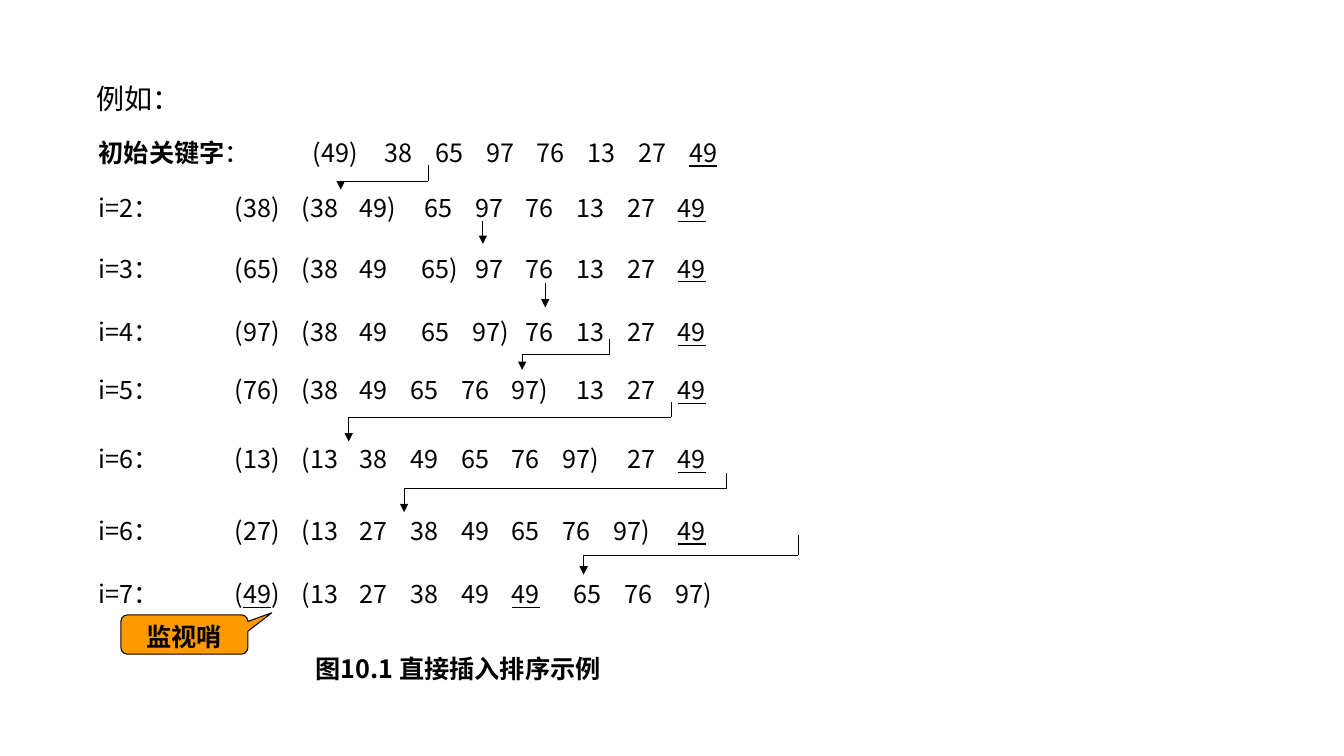
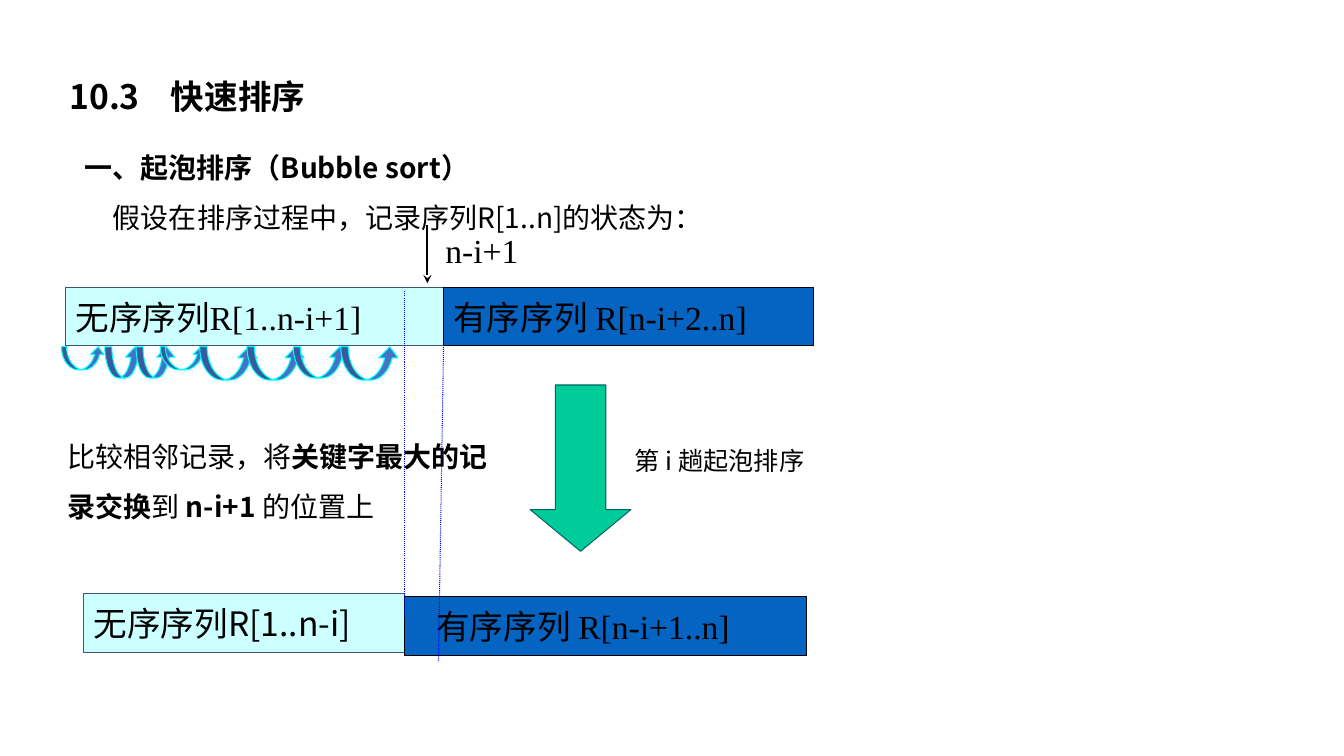
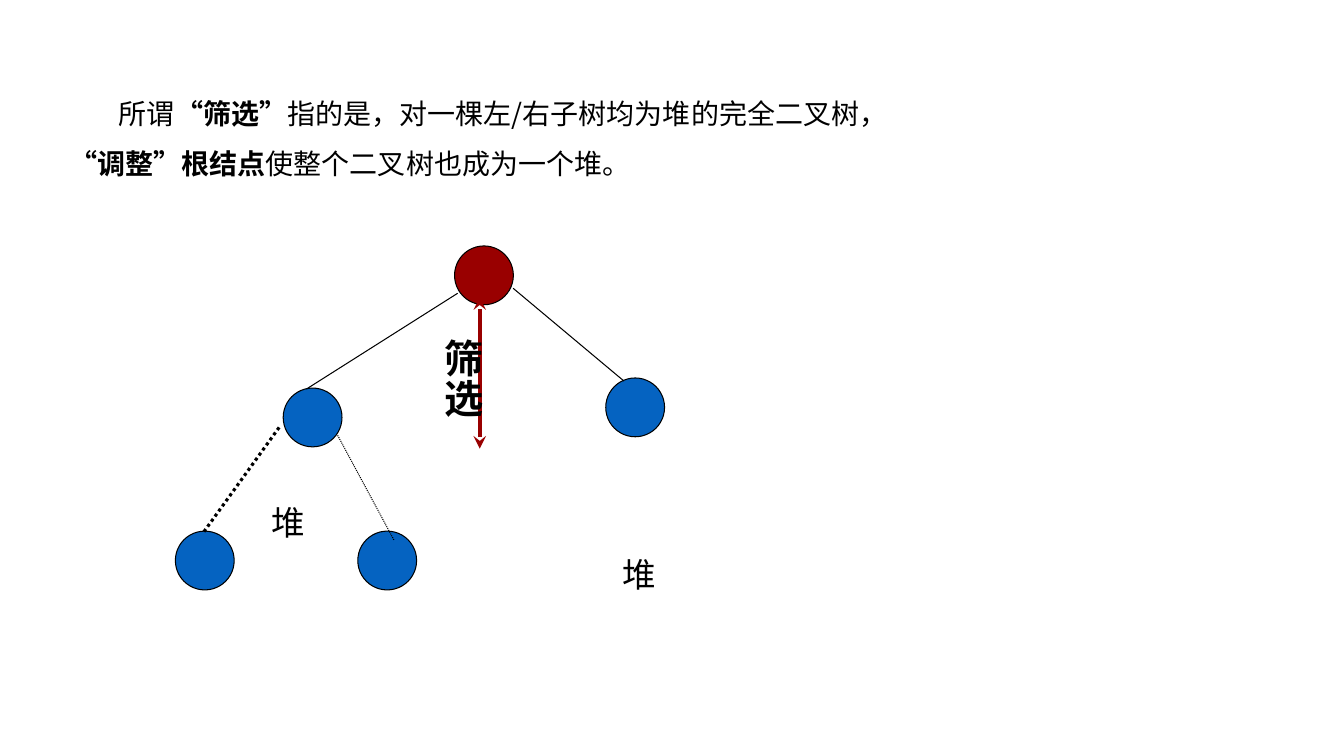
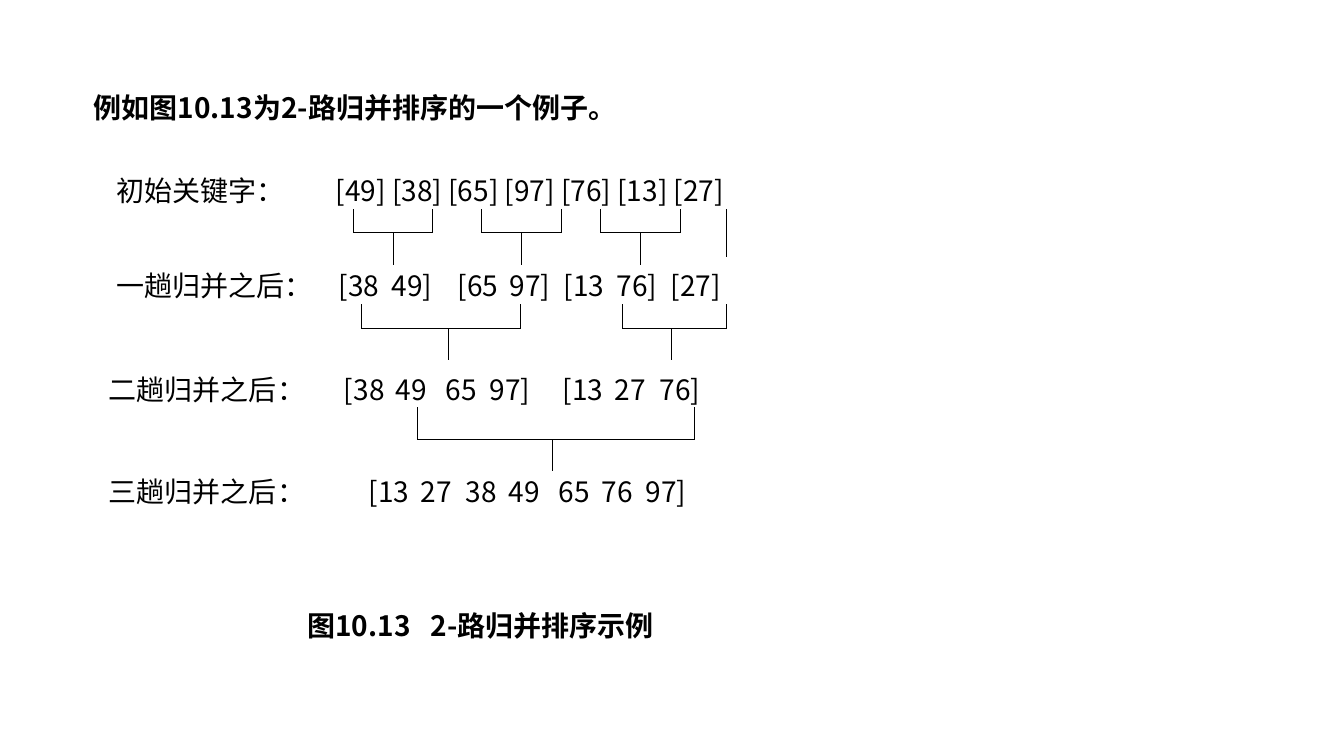
"""Builds four slides on sorting algorithms: insertion, bubble, heap and merge sort."""
import pptx
import pptx.util
import pptx.dml.color
import pptx.enum.dml
import pptx.enum.lang
import pptx.enum.shapes
import pptx.enum.text
import pptx.oxml
import pptx.oxml.ns

Pt = pptx.util.Pt
SHAPE = pptx.enum.shapes.MSO_SHAPE
ALIGN = pptx.enum.text.PP_ALIGN
ANCHOR = pptx.enum.text.MSO_ANCHOR
DOT = pptx.enum.dml.MSO_LINE.ROUND_DOT
qn = pptx.oxml.ns.qn

SANS, SERIF = "Noto Sans CJK SC", "Times New Roman"
BLACK, PALE, BLUE, RED = "000000", "CCFFFF", "0563C1", "990000"


def rgb(value):
    """Turn a hex string into a colour."""
    return pptx.dml.color.RGBColor.from_string(value)


def apply(target, values):
    """Set attributes from a dict."""
    for name, value in values.items():
        setattr(target, name, value)


def add_xml(parent, tag, **attributes):
    """Append a DrawingML element and return it."""
    child = pptx.oxml.parse_xml(f"<a:{tag} {pptx.oxml.ns.nsdecls('a')}/>")
    for name, value in attributes.items():
        child.set(name, str(value))
    parent.append(child)
    return child


class Deck:
    """Holds the style and the current slide."""

    def __init__(self):
        """Start a widescreen presentation."""
        self.prs = pptx.Presentation()
        apply(self.prs, {"slide_width": Pt(960), "slide_height": Pt(540)})

    def new_slide(self):
        """Add a blank slide and make it current."""
        self.s = self.prs.slides.add_slide(self.prs.slide_layouts[6])

    def paragraph(self, tf, text, size, font=SANS, bold=False, align=ALIGN.LEFT,
                  spacing=1.0, tabs=(), indent=0):
        """Fill the paragraph; * toggles bold and _ toggles underline."""
        p = tf.paragraphs[0]
        apply(p, {"alignment": align, "line_spacing": spacing})
        pPr = p._p.get_or_add_pPr()
        if indent:
            pPr.set("indent", str(Pt(indent)))
        if tabs:
            stops = add_xml(pPr, "tabLst")
            for stop in tabs:
                add_xml(stops, "tab", pos=Pt(stop), algn="l")
        for i, part in enumerate(text.split("*")):
            for j, piece in enumerate(part.split("_")):
                if not piece:
                    continue
                r = p.add_run()
                r.text = piece
                apply(r.font, {
                    "size": Pt(size), "name": font,
                    "bold": bold or i % 2 == 1, "underline": j % 2 == 1,
                    "language_id": pptx.enum.lang.MSO_LANGUAGE_ID.SIMPLIFIED_CHINESE})
                r.font.color.rgb = rgb(BLACK)
                add_xml(r._r.get_or_add_rPr(), "ea", typeface=SANS)

    def text(self, left, top, width, height, text, size, vertical=False, **style):
        """Add a text box."""
        sp = self.s.shapes.add_textbox(Pt(left), Pt(top), Pt(width), Pt(height))
        tf = sp.text_frame
        apply(tf, {"word_wrap": True,
                   "auto_size": pptx.enum.text.MSO_AUTO_SIZE.SHAPE_TO_FIT_TEXT})
        if vertical:
            tf._txBody.bodyPr.set("vert", "eaVert")
        self.paragraph(tf, text, size, **style)

    def shape(self, kind, left, top, width, height, fill, line=BLACK, adj=(),
              text="", size=24, inset=7.2, anchor=ANCHOR.MIDDLE, **style):
        """Add a filled preset shape with optional text."""
        sp = self.s.shapes.add_shape(kind, Pt(left), Pt(top), Pt(width), Pt(height))
        sp.shadow.inherit = False
        sp.fill.solid()
        sp.fill.fore_color.rgb = rgb(fill)
        sp.line.color.rgb = rgb(line)
        sp.line.width = Pt(0.75)
        for i, value in enumerate(adj):
            sp.adjustments[i] = value
        if text:
            apply(sp.text_frame, {"word_wrap": True, "margin_left": Pt(inset),
                                  "vertical_anchor": anchor})
            self.paragraph(sp.text_frame, text, size, **style)

    def line(self, x1, y1, x2, y2, color=BLACK, width=0.75, dash=None, head=None, tail=None):
        """Add a straight line with optional arrowheads."""
        c = self.s.shapes.add_connector(pptx.enum.shapes.MSO_CONNECTOR.STRAIGHT,
                                        Pt(x1), Pt(y1), Pt(x2), Pt(y2))
        c.line.color.rgb = rgb(color)
        apply(c.line, {"width": Pt(width), "dash_style": dash})
        spPr = c._element.spPr
        for tag, kind in (("headEnd", head), ("tailEnd", tail)):
            if kind:
                add_xml(spPr.find(qn("a:ln")), tag, type=kind)
        add_xml(spPr, "effectLst")

    def elbow(self, start, end, top, middle, bottom):
        """Lead an arrow down, across and down again."""
        self.line(end, middle, start, middle)
        self.line(start, top, start, middle)
        self.line(end, middle, end, bottom, tail="triangle")

    def bracket(self, left, right, stem, top, middle, bottom):
        """Join two items into one stem below."""
        self.line(left, middle, right, middle)
        for x in (left, right):
            self.line(x, top, x, middle)
        self.line(stem, middle, stem, bottom)

    def sort_row(self, top, label, sentinel, done, todo, loose=9):
        """Show one pass: sentinel, sorted keys in brackets, remaining keys."""
        done, todo = done.split(), todo.split()
        step = 36.2
        tabs = [97.2, 145]
        tabs += [186.6 + step * (k - 2) + (8 if k >= loose else 0)
                 for k in range(2, len(done) + 1)]
        tabs += [413.7 - step * k for k in reversed(range(len(todo)))]
        cells = [f"{label}：", f"({sentinel})", "(" + "\t".join(done) + ")", *todo]
        self.text(63.4, top, 600, 28.8, "\t".join(cells), 18, tabs=tabs)


deck = Deck()

deck.new_slide()
deck.text(48.2, 54.7, 102.2, 31.7, "例如：", 20, align=ALIGN.CENTER)
deck.text(63.4, 94.3, 623, 28.8, "*初始关键字*：\t(49)\t38\t65\t97\t76\t13\t27\t_49_", 18,
          tabs=[153] + [204.5 + 36.2 * k for k in range(7)])
for row in (
    (133.9, "i=2", "38", "38 49", "65 97 76 13 27 _49_"),
    (177.1, "i=3", "65", "38 49 65", "97 76 13 27 _49_", 3),
    (222.5, "i=4", "97", "38 49 65 97", "76 13 27 _49_", 3),
    (264.2, "i=5", "76", "38 49 65 76 97", "13 27 _49_"),
    (313.2, "i=6", "13", "13 38 49 65 76 97", "27 _49_"),
    (364.3, "i=6", "27", "13 27 38 49 65 76 97", "_49_"),
    (409.7, "i=7", "_49_", "13 27 38 49 _49_ 65 76 97", "", 6),
):
    deck.sort_row(*row)
for move in (
    (306, 243.4, 118, 129.6, 135.4),
    (435.6, 373, 242, 253.4, 264.2),
    (479.5, 249.1, 287.3, 298.1, 315.4),
    (519.1, 288.7, 337.7, 349.2, 365.8),
    (570.2, 416.9, 382.3, 396.7, 410.4),
):
    deck.elbow(*move)
for x, top, bottom in ((344.9, 157.7, 174.2), (389.5, 202.3, 219.6)):
    deck.line(x, top, x, bottom, tail="triangle")
deck.shape(SHAPE.ROUNDED_RECTANGULAR_CALLOUT, 86.4, 439.2, 90.7, 28.1, "FF9900",
           adj=(0.688, -0.553, 0.167), text="监视哨", size=18, font=SERIF,
           bold=True, align=ALIGN.CENTER, anchor=ANCHOR.TOP)
deck.text(218.2, 463, 368.6, 28.8, "图10.1 直接插入排序示例", 18, bold=True)

deck.new_slide()
deck.text(42.5, 50.4, 326, 40, "10.3\t快速排序", 24, bold=True, tabs=[72.5])
deck.text(53.3, 103.7, 404.6, 31.7, "一、起泡排序（Bubble sort）", 20, bold=True)
deck.text(73.6, 140, 570, 31.7, "假设在排序过程中，记录序列R[1..n]的状态为：", 20)
for left, top, width, fill, line, text, style in (
    (46.8, 205.2, 270, PALE, "44546A", "无序序列R[1..n-i+1]", {"font": SERIF}),
    (316.8, 205.2, 264.2, BLUE, BLACK, "有序序列 R[n-i+2..n]", {"font": SERIF}),
    (59.8, 424.1, 229, PALE, "44546A", "无序序列R[1..n-i]", {}),
    (288.7, 426.2, 287.3, BLUE, BLACK, "有序序列 R[n-i+1..n]", {"font": SERIF, "inset": 23}),
):
    deck.shape(SHAPE.RECTANGLE, left, top, width, 41.8, fill, line, text=text, **style)
deck.line(305.3, 160.6, 305.3, 202.3, width=1.5, tail="stealth")
deck.text(311, 160.6, 72, 36, "n-i+1", 24, font=SERIF)
deck.text(446.4, 311, 191.5, 30.2, "第 i 趟起泡排序", 18, spacing=1.15)
deck.shape(SHAPE.DOWN_ARROW, 378.7, 275, 72, 118.8, "00CC99", "006666", (0.5, 0.414))
deck.text(41, 298.1, 331.2, 75.6,
          "比较相邻记录，将*关键字最大的记录交换*到 *n-i+1 *的位置上", 20, spacing=1.5)
for left, width, height in (
    (43.9, 31, 16.6), (74.9, 28.1, 22.3), (97.2, 28.1, 22.3), (114.5, 33.8, 16.6),
    (142.6, 41.8, 23.8), (176.4, 41.8, 23.8), (209.5, 39.6, 22.3), (243.4, 41.8, 23.8),
):
    deck.shape(SHAPE.CURVED_UP_ARROW, left, 247.7, width, height, "4472C4", "00FFFF",
               (0.223, 0.573, 0.333))
for guide in ((316.8, 247.7, 313.2, 472.3), (288.7, 208.1, 288.7, 442.1)):
    deck.line(*guide, color="0000FF", dash=DOT)

deck.new_slide()
deck.text(42.5, 53.3, 583.9, 75.6,
          "所谓*“筛选”*指的是，对一棵左/右子树均为堆的完全二叉树，"
          "*“调整”根结点*使整个二叉树也成为一个堆。", 20, spacing=1.5, indent=35.4)
for left, top, fill in (
    (202.3, 277.2, BLUE), (125.3, 379.4, BLUE), (255.6, 379.4, BLUE),
    (432.7, 270, BLUE), (324.7, 175.7, RED),
):
    deck.shape(SHAPE.OVAL, left, top, 42, 42, fill)
deck.line(199.4, 305.3, 145.4, 380.2, width=2.25, dash=DOT)
deck.line(241.2, 311, 281.5, 385.9, dash=DOT)
deck.line(326.9, 209.5, 218.9, 277.9)
deck.line(366.5, 205.9, 445.7, 272.2)
deck.line(342.7, 212.4, 342.7, 320.4, RED, 3, head="stealth", tail="stealth")
for left, top in ((187.2, 355), (437.8, 392.4)):
    deck.text(left, top, 50, 36.7, "堆", 24, font=SERIF)
deck.text(302.4, 235.4, 48.2, 121, "筛选", 28, vertical=True, font=SERIF, bold=True)

deck.new_slide()
deck.text(59.8, 61.2, 420, 31.7, "例如图10.13为2-路归并排序的一个例子。", 20, bold=True)
for left, top, text, tabs in (
    (76.3, 120.2, "初始关键字：\t[49] [38] [65] [97] [76] [13] [27]", [156.5]),
    (76.3, 187.9, "一趟归并之后：\t[38\t49]\t[65\t97]\t[13\t76]\t[27]",
     [158.7, 196.5, 243.6, 280.8, 319.4, 357.2, 395.8]),
    (70.6, 262.8, "二趟归并之后：\t[38\t49\t65\t97]\t[13\t27\t76]",
     [168, 205, 240.8, 272.2, 324.4, 361.5, 393.6]),
    (70.6, 335.5, "三趟归并之后：\t[13\t27\t38\t49\t65\t76\t97]",
     [185.8, 222.9, 255.1, 285.8, 321.5, 352.2, 383.6]),
):
    deck.text(left, top, 668.9, 31, text, 20, tabs=tabs)
for merge in (
    (252.7, 308.9, 280.8, 149.4, 166.3, 189.4),
    (344.2, 401, 372.2, 149.4, 166.3, 189.4),
    (429.1, 486, 457.2, 149.4, 166.3, 189.4),
    (258.5, 371.5, 320.4, 217.4, 234.7, 257),
    (445, 519.1, 479.5, 217.4, 234.7, 257),
    (298.1, 496.1, 394.6, 290.9, 313.9, 336.2),
):
    deck.bracket(*merge)
deck.line(519.1, 149.4, 519.1, 183.6)
deck.text(212.4, 431.3, 265.7, 31.7, "图10.13\t2-路归并排序示例", 20, bold=True, tabs=[88.2])

deck.prs.save("out.pptx")
